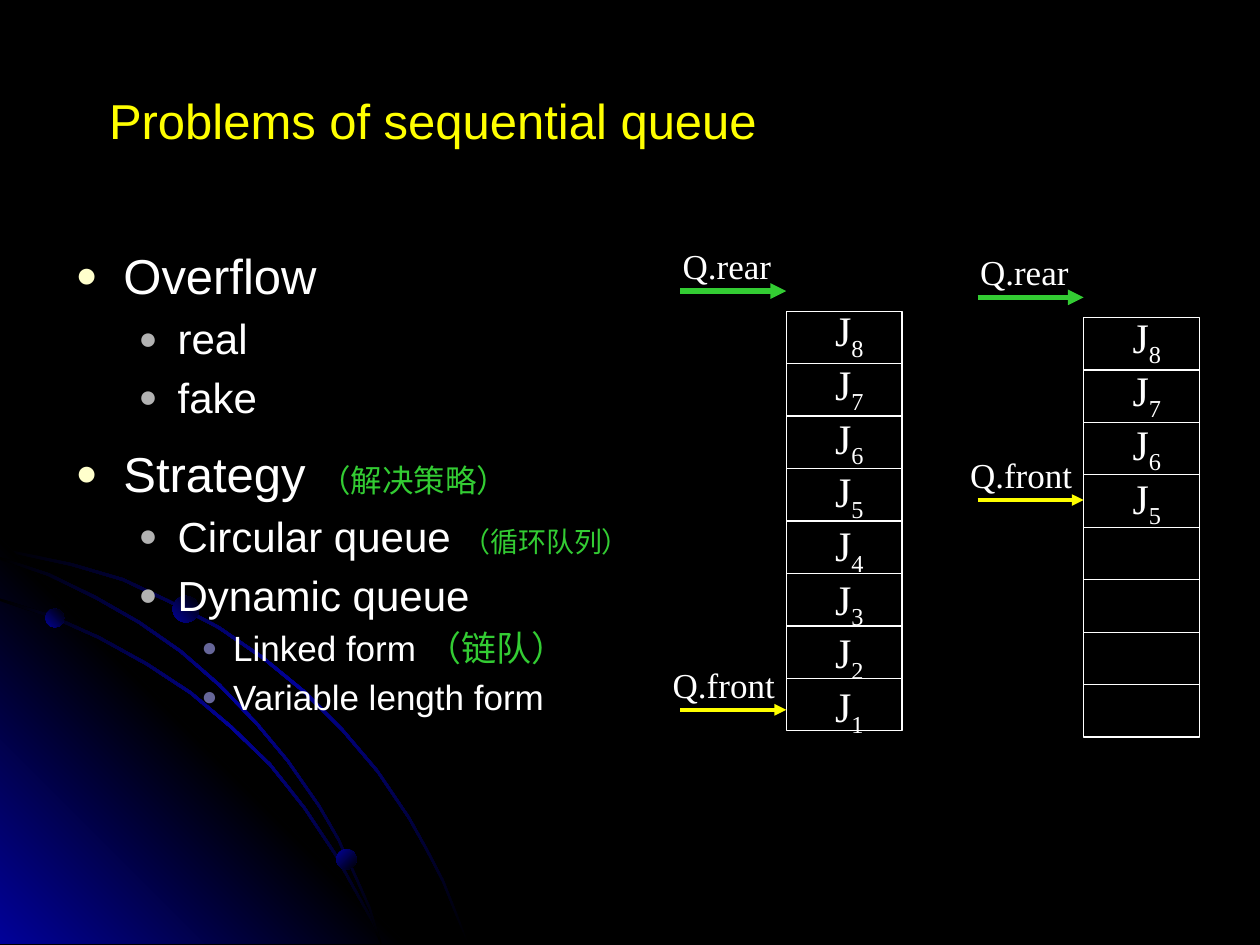
from lxml.etree import SubElement as Sub
from pptx import Presentation
from pptx.dml.color import RGBColor as RGB
from pptx.enum.shapes import MSO_CONNECTOR as Link, MSO_SHAPE as Kind
from pptx.enum.text import MSO_ANCHOR as Anchor, MSO_AUTO_SIZE as Fit, PP_ALIGN as Align
from pptx.oxml.ns import qn
from pptx.util import Inches, Pt

BLACK = RGB(0, 0, 0)
WHITE = RGB(255, 255, 255)
BLUE = RGB(0x01, 0x01, 0x99)
YELLOW = RGB(255, 255, 0)
GREEN = RGB(0x33, 0xCC, 0x33)
CREAM = RGB(0xFF, 0xFF, 0xCC)
GRAY = RGB(0xB2, 0xB2, 0xB2)
SLATE = RGB(0x66, 0x66, 0x99)

COLS, ROWS = 10, 7.5
SLOTS = 8

# Upper edge of each orbit, in grid columns and rows
ORBITS = [
    [(0, 4.35), (0.57, 4.47), (0.98, 4.59), (1.36, 4.77), (1.74, 4.97),
     (2.09, 5.21), (2.42, 5.48), (2.72, 5.78), (3, 6.11), (3.25, 6.48),
     (3.39, 6.73), (3.52, 6.98), (3.62, 7.23), (3.72, 7.49)],
    [(0, 4.75), (0.41, 4.88), (0.79, 5.05), (1.17, 5.26), (1.52, 5.49),
     (1.84, 5.76), (2.15, 6.06), (2.42, 6.4), (2.66, 6.76), (2.86, 7.12),
     (2.96, 7.3), (3.03, 7.49)],
    [(0, 4.42), (0.39, 4.55), (0.76, 4.73), (1.11, 4.93), (1.44, 5.16),
     (1.75, 5.43), (2.04, 5.73), (2.29, 6.03), (2.54, 6.39), (2.69, 6.65),
     (2.82, 6.93), (2.94, 7.2), (3.03, 7.49)],
]
CORNER = [(0, 4.27), (3.22, 7.49), (0, 7.49)]
BALLS = [(0.36, 4.83, 0.15, 315), (2.67, 6.74, 0.16, 45), (1.37, 4.73, 0.21, 315)]

# Per level: indent, hang, text size, bullet colour
LEVELS = [(0.38, 0.38, 28, CREAM), (0.81, 0.31, 24, GRAY), (1.25, 0.25, 20, SLATE)]

# Level, text, green gloss and its size
TOPICS = [
    (0, "Overflow", "", 0),
    (1, "real", "", 0),
    (1, "fake", "", 0),
    (0, "Strategy ", "（解决策略）", 18),
    (1, "Circular queue ", "（循环队列）", 16),
    (1, "Dynamic queue", "", 0),
    (2, "Linked form ", "（链队）", 20),
    (2, "Variable length form", "", 0),
]


class Deck:
    sans, serif = "Arial", "Times New Roman"

    def __init__(self):
        self.file = Presentation()
        self.file.slide_width, self.file.slide_height = Inches(10), Inches(7.5)
        self.slide = self.file.slides.add_slide(self.file.slide_layouts[1])
        self.slide.background.fill.solid()
        self.slide.background.fill.fore_color.rgb = BLACK
        self.shapes = self.slide.shapes

    def x(self, col):
        return round(self.file.slide_width * col / COLS)

    def y(self, row):
        return round(self.file.slide_height * row / ROWS)

    def box(self, left, top, wide, high):
        return self.x(left), self.y(top), self.x(wide), self.y(high)

    def fade(self, shape, tones, angle):
        """Fill with evenly spaced colours, the angle running clockwise."""
        shape.shadow.inherit = False
        shape.line.fill.background()
        shape.fill.gradient()
        grad = shape.element.spPr.find(qn("a:gradFill"))
        stops = grad.find(qn("a:gsLst"))
        for stop in list(stops):
            stops.remove(stop)
        for i, tone in enumerate(tones):
            stop = Sub(stops, qn("a:gs"), pos=str(100000 * i // (len(tones) - 1)))
            Sub(stop, qn("a:srgbClr"), val=str(tone))
        grad.find(qn("a:lin")).set("ang", str(angle * 60000))

    def area(self, points, tones, angle):
        spots = [(self.x(a), self.y(b)) for a, b in points]
        pen = self.shapes.build_freeform(*spots[0])
        pen.add_line_segments(spots[1:], close=True)
        self.fade(pen.convert_to_shape(), tones, angle)

    def orbit(self, edge):
        under = [(max(a - 0.01, 0), min(b + 0.02, 7.49)) for a, b in reversed(edge)]
        self.area(edge + under, [BLACK, BLUE, BLACK], 45)

    def ball(self, left, top, size, angle):
        shape = self.shapes.add_shape(Kind.OVAL, *self.box(left, top, size, size))
        self.fade(shape, [BLUE, BLACK], angle)

    def run(self, para, text, size, tone=WHITE, face=sans):
        run = para.add_run()
        run.text = text
        font = run.font
        font.size, font.name, font.color.rgb = Pt(size), face, tone
        return font

    def place(self, holder, *spot):
        """Move a placeholder and bring it in front of the backdrop."""
        holder.left, holder.top, holder.width, holder.height = self.box(*spot)
        holder.element.getparent().append(holder.element)
        holder.text_frame.auto_size = Fit.NONE
        return holder.text_frame

    def title(self, text):
        frame = self.place(self.shapes.title, 0.28, 0.52, 6.31, 0.87)
        frame.vertical_anchor = Anchor.MIDDLE
        para = frame.paragraphs[0]
        para.alignment = Align.CENTER
        self.run(para, text, 28, YELLOW)

    def bullet(self, para, level):
        indent, hang, _, tone = LEVELS[level]
        para.level = level
        props = para._p.get_or_add_pPr()
        props.set("marL", str(Inches(indent)))
        props.set("indent", str(-Inches(hang)))
        Sub(Sub(props, qn("a:buClr")), qn("a:srgbClr"), val=str(tone))
        Sub(props, qn("a:buSzPct"), val="75000")
        Sub(props, qn("a:buFont"), typeface=self.sans)
        Sub(props, qn("a:buChar"), char="●")

    def topics(self, items):
        frame = self.place(self.slide.placeholders[1], 0.5, 1.9, 9, 4.95)
        for i, (level, text, gloss, size) in enumerate(items):
            para = frame.add_paragraph() if i else frame.paragraphs[0]
            self.bullet(para, level)
            if level == 0:
                para.space_before = Pt(12 if i else 0)
            self.run(para, text, LEVELS[level][2])
            if gloss:
                self.run(para, gloss, size, GREEN)

    def line(self, start, end, tone=WHITE, width=0.75, head=False):
        (a, b), (c, d) = start, end
        line = self.shapes.add_connector(
            Link.STRAIGHT, self.x(a), self.y(b), self.x(c), self.y(d))
        line.line.color.rgb, line.line.width = tone, Pt(width)
        if head:
            Sub(line.line._get_or_add_ln(), qn("a:tailEnd"), type="triangle")
        Sub(line.element.spPr, qn("a:effectLst"))

    def label(self, spot, text, size, sub=""):
        frame = self.shapes.add_textbox(*self.box(*spot)).text_frame
        frame.word_wrap, frame.auto_size = False, Fit.SHAPE_TO_FIT_TEXT
        para = frame.paragraphs[0]
        self.run(para, text, size, face=self.serif)
        if sub:
            font = self.run(para, sub, size, face=self.serif)
            font._element.set("baseline", "-25000")

    def mark(self, left, level, text, wide, tone, width):
        """Name a queue end above an arrow that meets the stack."""
        self.line((left - 0.84, level), (left, level), tone, width, head=True)
        self.label((left - wide, level - 0.42, wide + 0.05, 0.43), text, 20)

    def queue(self, left, top, first, front):
        """Stack of slots holding J8 down to the first job left."""
        wide, high = 0.92, 3.33
        step = high / SLOTS
        frame = self.shapes.add_shape(Kind.RECTANGLE, *self.box(left, top, wide, high))
        frame.shadow.inherit = False
        frame.fill.background()
        frame.line.color.rgb, frame.line.width = WHITE, Pt(0.75)
        for i in range(1, SLOTS):
            level = top + i * step
            self.line((left, level), (left + wide, level))
        for i, job in enumerate(range(SLOTS, first - 1, -1)):
            self.label((left + 0.29, top - 0.1 + i * 0.426, 0.44, 0.5), "J", 24, str(job))
        self.mark(left, top + front * step, "Q.front", 1, YELLOW, 2.25)
        self.mark(left, top - 0.16, "Q.rear", 0.92, GREEN, 3)


def main():
    deck = Deck()
    deck.orbit(ORBITS[0])
    deck.area(CORNER, [BLUE, BLACK, BLUE], 315)
    for edge in ORBITS[1:]:
        deck.orbit(edge)
    for ball in BALLS:
        deck.ball(*ball)
    deck.title("Problems of sequential queue")
    deck.topics(TOPICS)
    deck.queue(6.24, 2.47, first=1, front=7.6)
    deck.queue(8.6, 2.52, first=5, front=3.48)
    deck.file.save("out.pptx")


if __name__ == "__main__":
    main()
